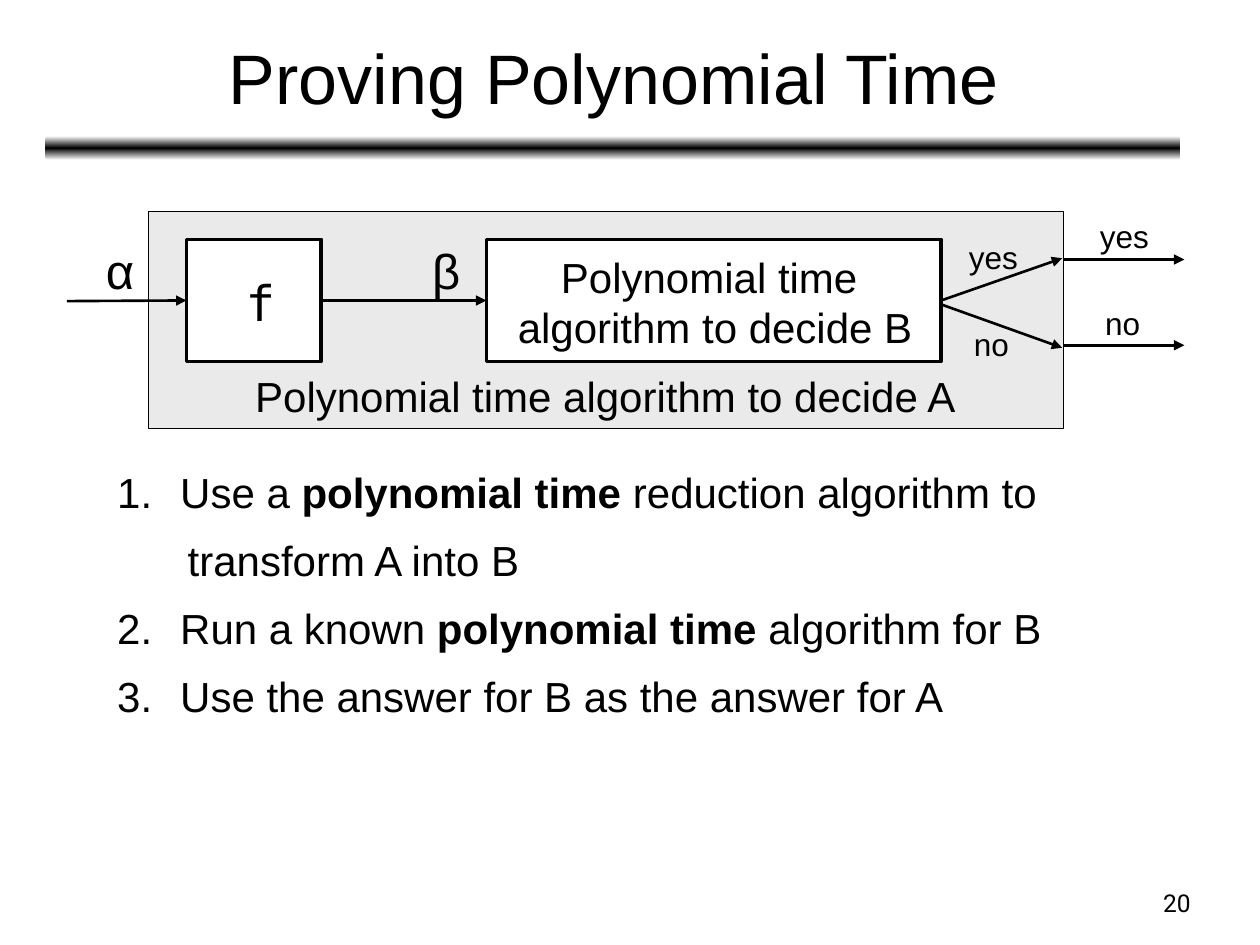
from copy import deepcopy

from lxml import etree
from pptx import Presentation
from pptx.dml.color import RGBColor
from pptx.enum.shapes import MSO_CONNECTOR, MSO_SHAPE
from pptx.enum.text import MSO_ANCHOR, PP_ALIGN
from pptx.oxml.ns import qn
from pptx.util import Inches, Pt

LEFT, MID, RIGHT = PP_ALIGN.LEFT, PP_ALIGN.CENTER, PP_ALIGN.RIGHT
TOP, CENTRE = MSO_ANCHOR.TOP, MSO_ANCHOR.MIDDLE
RECT, ROUND = MSO_SHAPE.RECTANGLE, MSO_SHAPE.ROUNDED_RECTANGLE
STRAIGHT = MSO_CONNECTOR.STRAIGHT
BLACK, WHITE, GREY = "000000", "FFFFFF", "EAEAEA"

STEPS = [
    (1, ["Use a ", "polynomial time", " reduction algorithm to"]),
    (None, ["transform A into B"]),
    (2, ["Run a known ", "polynomial time", " algorithm for B"]),
    (2, ["Use the answer for B as the answer for A"]),
]
LABELS = [
    ("α", 0.79, 1.86, 0.36, 0.49, 28),
    ("β", 3.38, 1.86, 0.33, 0.49, 28),
    ("yes", 7.64, 1.84, 0.5, 0.38, 18),
    ("no", 7.68, 2.53, 0.39, 0.38, 18),
    ("yes", 8.68, 1.67, 0.5, 0.38, 18),
    ("no", 8.72, 2.36, 0.39, 0.38, 18),
]


def shade(code):
    """Turn a hex string into a colour."""
    return RGBColor.from_string(code)


def assign(item, values):
    """Set each attribute of an item from a dict."""
    for name, value in values.items():
        setattr(item, name, value)


def add_frame(slide, x, y, w, h, wrap=False, anchor=TOP):
    """Add an empty text box and return its text frame."""
    frame = slide.shapes.add_textbox(*map(Inches, (x, y, w, h))).text_frame
    inset = Inches(0.05)
    assign(frame, {"word_wrap": wrap, "vertical_anchor": anchor,
                   "margin_left": inset, "margin_right": inset,
                   "margin_top": inset, "margin_bottom": inset})
    return frame


def add_run(para, text, size, face="Arial", bold=False):
    """Add one run of black text."""
    run = para.add_run()
    run.text = text
    assign(run.font, {"size": Pt(size), "name": face, "bold": bold})
    run.font.color.rgb = shade(BLACK)


def add_text(slide, text, x, y, w, h, size, align=LEFT, face="Arial",
             wrap=False, anchor=TOP):
    """Add a text box with one paragraph for each line."""
    frame = add_frame(slide, x, y, w, h, wrap, anchor)
    for i, line in enumerate(text.split("\n")):
        para = frame.add_paragraph() if i else frame.paragraphs[0]
        para.alignment = align
        add_run(para, line, size, face)


def add_box(slide, x, y, w, h, fill, width):
    """Add a filled rectangle with a black outline."""
    box = slide.shapes.add_shape(RECT, *map(Inches, (x, y, w, h)))
    box.shadow.inherit = False
    box.fill.solid()
    box.fill.fore_color.rgb = shade(fill)
    box.line.color.rgb = shade(BLACK)
    box.line.width = Pt(width)
    return box


def add_bar(slide):
    """Add the rule under the title, fading to white at both edges."""
    bar = slide.shapes.add_shape(ROUND, *map(Inches, (0.36, 1.08, 9.01, 0.19)))
    bar.shadow.inherit = False
    bar.line.fill.background()
    bar.fill.gradient()
    bar.fill.gradient_angle = 90
    stops = bar.element.spPr.find(".//" + qn("a:gsLst"))
    stops.append(deepcopy(stops[0]))
    for i, stop in enumerate(bar.fill.gradient_stops):
        stop.position = i / 2
        stop.color.rgb = shade(BLACK if i == 1 else WHITE)


def add_arrow(slide, x1, y1, x2, y2, start=None, end=None):
    """Add an arrow, joined to the right of start and the left of end."""
    arrow = slide.shapes.add_connector(STRAIGHT, *map(Inches, (x1, y1, x2, y2)))
    if start:
        arrow.begin_connect(start, 3)
    if end:
        arrow.end_connect(end, 1)
    arrow.line.color.rgb = shade(BLACK)
    arrow.line.width = Pt(1.5)
    etree.SubElement(arrow.line._get_or_add_ln(), qn("a:tailEnd"), type="triangle")
    etree.SubElement(arrow._element.spPr, qn("a:effectLst"))


def add_steps(slide):
    """Add the numbered steps, with the middle run of each in bold."""
    frame = add_frame(slide, 0.38, 3.53, 9.29, 3.35, True)
    for i, (start, parts) in enumerate(STEPS):
        para = frame.add_paragraph() if i else frame.paragraphs[0]
        assign(para, {"line_spacing": 1.3, "space_before": Pt(1.6)})
        props = para._p.get_or_add_pPr()
        props.set("marL", str(Inches(1 if start else 1.06)))
        props.set("indent", str(Inches(-0.5 if start else 0)))
        if start:
            etree.SubElement(props, qn("a:buFont"), typeface="Arial")
            etree.SubElement(props, qn("a:buAutoNum"), type="arabicPeriod",
                             startAt=str(start))
        for j, part in enumerate(parts):
            add_run(para, part, 24, bold=j == 1)


def add_flow(slide):
    """Add the diagram of the reduction from A to B."""
    add_box(slide, 1.18, 1.68, 7.26, 1.72, GREY, 0.75)
    add_text(slide, "Polynomial time algorithm to decide A",
             1.97, 2.9, 5.67, 0.48, 24, MID, anchor=CENTRE)
    func = add_box(slide, 1.48, 1.9, 1.07, 0.97, WHITE, 2)
    add_text(slide, "f", 1.9, 2.11, 0.22, 0.57, 28, MID,
             "DejaVu Sans Mono", anchor=CENTRE)
    solver = add_box(slide, 3.86, 1.9, 3.61, 0.97, WHITE, 2)
    add_text(slide, "Polynomial time \nalgorithm to decide B",
             4.05, 1.96, 3.25, 0.87, 24, MID, anchor=CENTRE)
    add_arrow(slide, 0.53, 2.39, 1.48, 2.39, end=func)
    add_arrow(slide, 2.55, 2.39, 3.86, 2.39, func, solver)
    add_arrow(slide, 7.47, 2.39, 8.43, 2.05, solver)
    add_arrow(slide, 7.48, 2.42, 8.43, 2.76)
    for y in (2.06, 2.74):
        add_arrow(slide, 8.44, y, 9.4, y)
    for label in LABELS:
        add_text(slide, *label)


def main():
    """Build the slide and save it."""
    deck = Presentation()
    assign(deck, {"slide_width": Inches(10), "slide_height": Inches(7.5)})
    slide = deck.slides.add_slide(deck.slide_layouts[6])
    add_bar(slide)
    add_text(slide, "20", 9.17, 7, 0.33, 0.32, 14, RIGHT, "Roboto")
    add_text(slide, "Proving Polynomial Time", 0.37, 0.11, 9, 0.99, 40, MID,
             wrap=True, anchor=CENTRE)
    add_steps(slide)
    add_flow(slide)
    deck.save("out.pptx")


if __name__ == "__main__":
    main()
